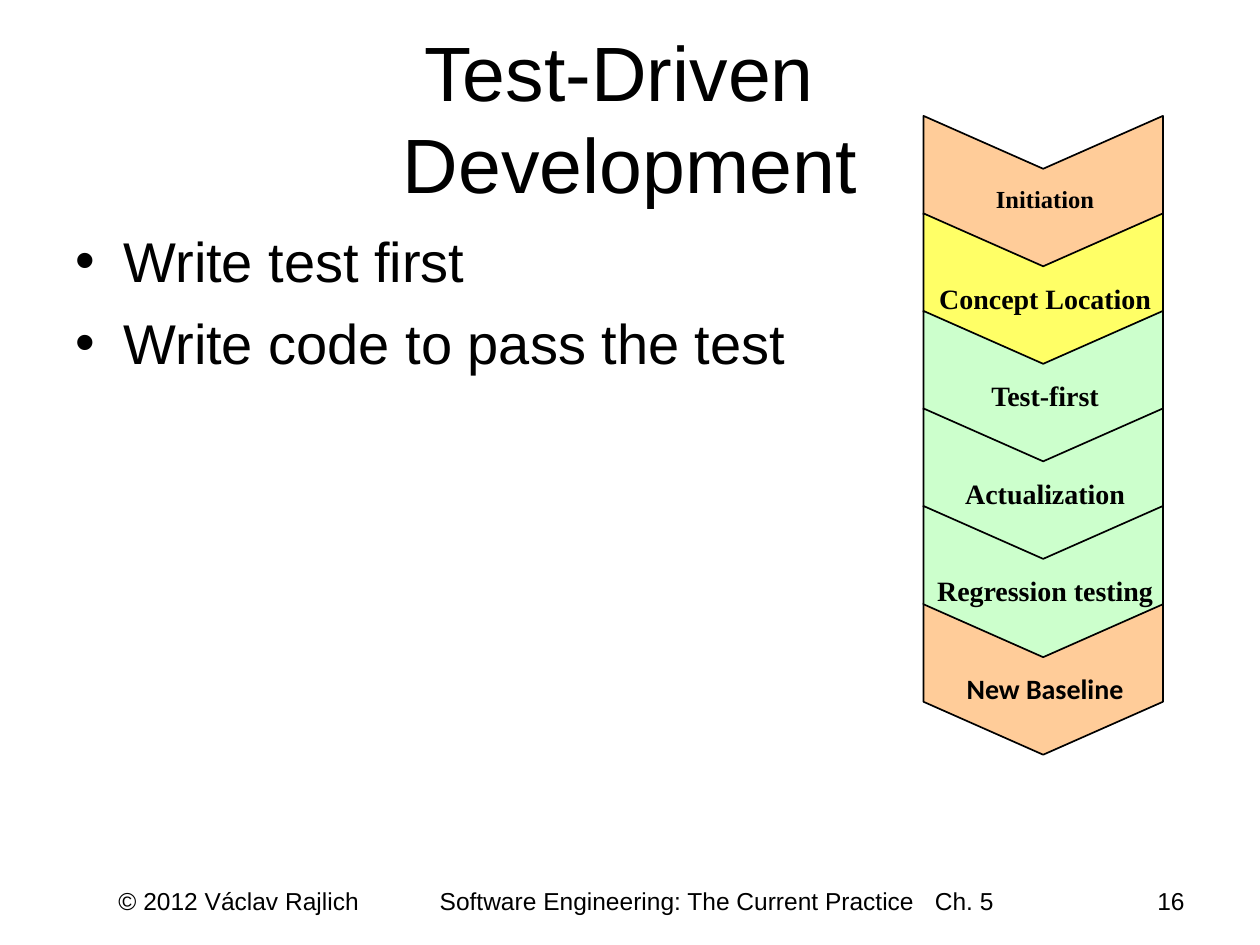
import pptx
import pptx.util
import pptx.dml.color
import pptx.enum.text
import lxml.etree

Inches = pptx.util.Inches
Pt = pptx.util.Pt
Align = pptx.enum.text.PP_ALIGN
Anchor = pptx.enum.text.MSO_ANCHOR

COLORS = {
    "ink": "000000",
    "orange": "FFCC99",
    "yellow": "FFFF66",
    "green": "CCFFCC",
}
TITLE_FONT = {"name": "Arial", "size": Pt(44)}
BODY_FONT = {"name": "Arial", "size": Pt(32)}
FOOTER_FONT = {"name": "Arial", "size": Pt(14)}
SERIF = "Times New Roman"

STAGES = [
    (5, "New Baseline", "orange", "Calibri", 16),
    (0, "Initiation", "orange", SERIF, 14),
    (1, "Concept Location", "yellow", SERIF, 16),
    (2, "Test-first", "green", SERIF, 16),
    (3, "Actualization", "green", SERIF, 16),
    (4, "Regression testing", "green", SERIF, 16),
]
STAGE_LEFT, STAGE_TOP, STAGE_PITCH = 7.33, 0.92, 0.774
STAGE_WIDTH, STAGE_SIDE, STAGE_NOTCH = 1.9, 0.78, 0.42
LABEL_DROP, LABEL_WIDTH, LABEL_HEIGHT = 0.54, 1.93, 0.27


def color(name):
    return pptx.dml.color.RGBColor.from_string(COLORS[name])


def set_values(target, values):
    for name, value in values.items():
        setattr(target, name, value)


def place(box, left, top, width, height):
    set_values(box, {
        "left": Inches(left), "top": Inches(top),
        "width": Inches(width), "height": Inches(height),
    })


def write(para, text, font):
    para.text = text
    for span in para.runs:
        set_values(span.font, font)
        span.font.color.rgb = color("ink")


def add_property(para, tag, **values):
    properties = para._p.get_or_add_pPr()
    return lxml.etree.SubElement(properties, pptx.oxml.ns.qn(tag), **values)


def add_bullet(para):
    para._p.get_or_add_pPr().set("marL", str(Inches(0.38)))
    para._p.get_or_add_pPr().set("indent", str(-Inches(0.38)))
    add_property(para, "a:buFont", typeface="Arial")
    add_property(para, "a:buChar", char="•")


def add_tabs(para, positions):
    tabs = add_property(para, "a:tabLst")
    for position in positions:
        lxml.etree.SubElement(tabs, pptx.oxml.ns.qn("a:tab"),
                              pos=str(Inches(position)), algn="l")


def fill_title(box, text):
    place(box, 0.5, 0.3, 9, 1.25)
    frame = box.text_frame
    set_values(frame, {
        "vertical_anchor": Anchor.MIDDLE,
        "auto_size": pptx.enum.text.MSO_AUTO_SIZE.NONE,
    })
    frame.paragraphs[0].alignment = Align.CENTER
    write(frame.paragraphs[0], text, TITLE_FONT)


def fill_list(box, items):
    place(box, 0.5, 1.75, 9, 4.95)
    frame = box.text_frame
    frame.auto_size = pptx.enum.text.MSO_AUTO_SIZE.NONE
    for index, item in enumerate(items):
        para = frame.add_paragraph() if index else frame.paragraphs[0]
        para.space_before = Pt(8 if index else 0)
        add_bullet(para)
        write(para, item, BODY_FONT)


def add_text(shapes, bounds, text, font, align, margins, tabs=()):
    box = shapes.add_textbox(*map(Inches, bounds))
    frame = box.text_frame
    frame.word_wrap = True
    sides = ("margin_left", "margin_top", "margin_right", "margin_bottom")
    set_values(frame, dict(zip(sides, map(Inches, margins))))
    para = frame.paragraphs[0]
    para.alignment = align
    if tabs:
        add_tabs(para, tabs)
    write(para, text, font)


def add_chevron(shapes, top, fill):
    left, right = STAGE_LEFT, STAGE_LEFT + STAGE_WIDTH
    middle = left + STAGE_WIDTH / 2
    bottom = top + STAGE_SIDE
    points = [
        (right, top), (right, bottom), (middle, bottom + STAGE_NOTCH),
        (left, bottom), (left, top), (middle, top + STAGE_NOTCH),
    ]
    corners = [(Inches(x), Inches(y)) for x, y in points]
    builder = shapes.build_freeform(*corners[0])
    builder.add_line_segments(corners[1:], close=True)
    chevron = builder.convert_to_shape()
    chevron.shadow.inherit = False
    chevron.fill.solid()
    chevron.fill.fore_color.rgb = color(fill)
    chevron.line.color.rgb = color("ink")
    chevron.line.width = Pt(0.96)


def add_stages(slide):
    group = slide.shapes.add_group_shape()
    for row, label, fill, font_name, size in STAGES:
        top = STAGE_TOP + row * STAGE_PITCH
        add_chevron(group.shapes, top, fill)
        bounds = (STAGE_LEFT, top + LABEL_DROP, LABEL_WIDTH, LABEL_HEIGHT)
        font = {"name": font_name, "size": Pt(size), "bold": True}
        add_text(group.shapes, bounds, label, font, Align.CENTER, (0, 0, 0, 0))


def add_footer(slide):
    add_text(slide.shapes, (0.5, 6.98, 7.83, 0.52),
             "© 2012 Václav Rajlich\tSoftware Engineering: The Current Practice\tCh. 5",
             FOOTER_FONT, Align.LEFT, (0.44, 0.05, 0.1, 0.05), (2.55, 6.48))
    add_text(slide.shapes, (7.17, 6.98, 2.33, 0.52), "16",
             FOOTER_FONT, Align.RIGHT, (0.1, 0.05, 0.1, 0.05))


def main():
    deck = pptx.Presentation()
    set_values(deck, {"slide_width": Inches(10), "slide_height": Inches(7.5)})
    slide = deck.slides.add_slide(deck.slide_layouts[1])
    fill_title(slide.shapes.title, "Test-Driven \vDevelopment")
    fill_list(slide.placeholders[1],
              ["Write test first", "Write code to pass the test"])
    add_footer(slide)
    add_stages(slide)
    deck.save("out.pptx")


if __name__ == "__main__":
    main()
